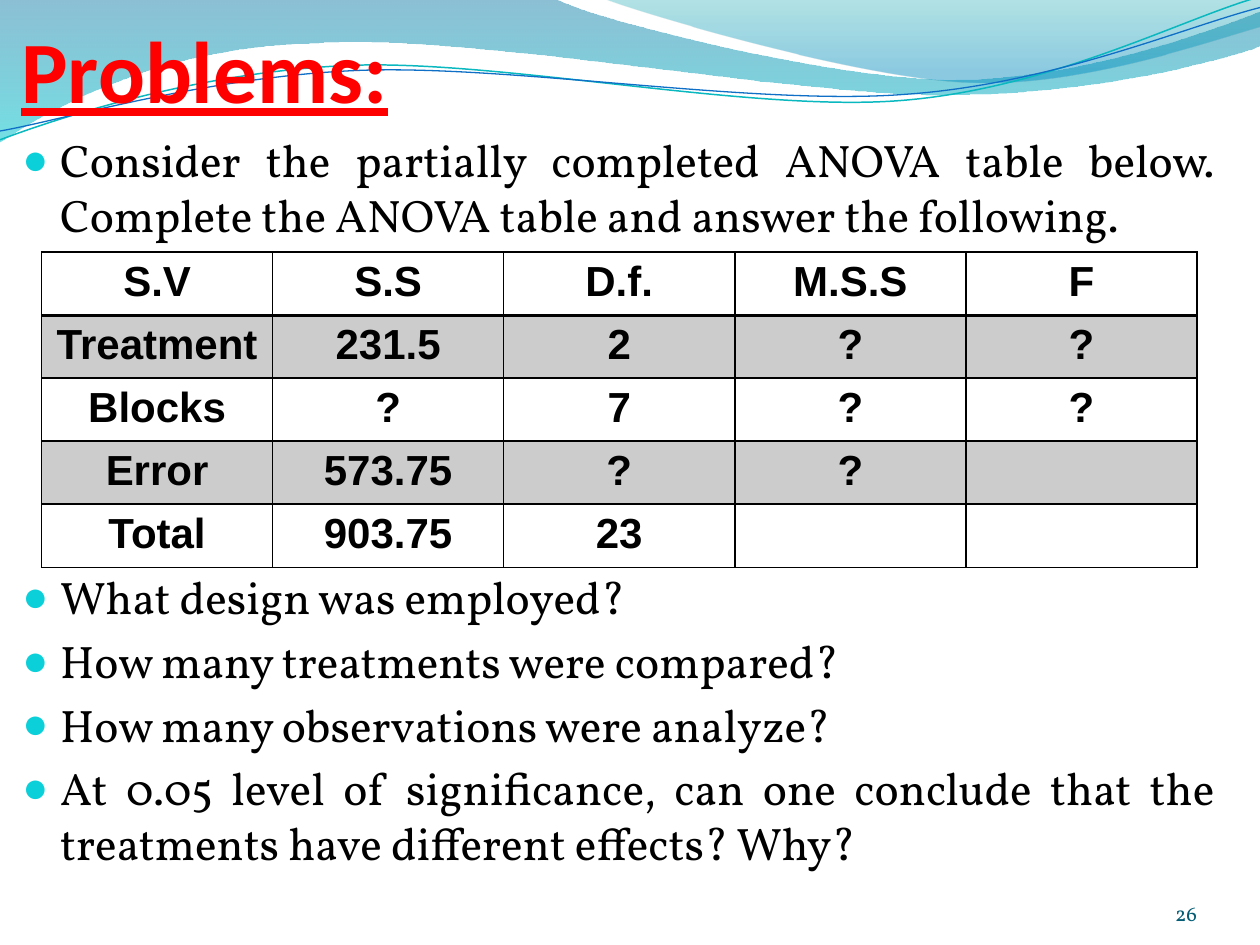
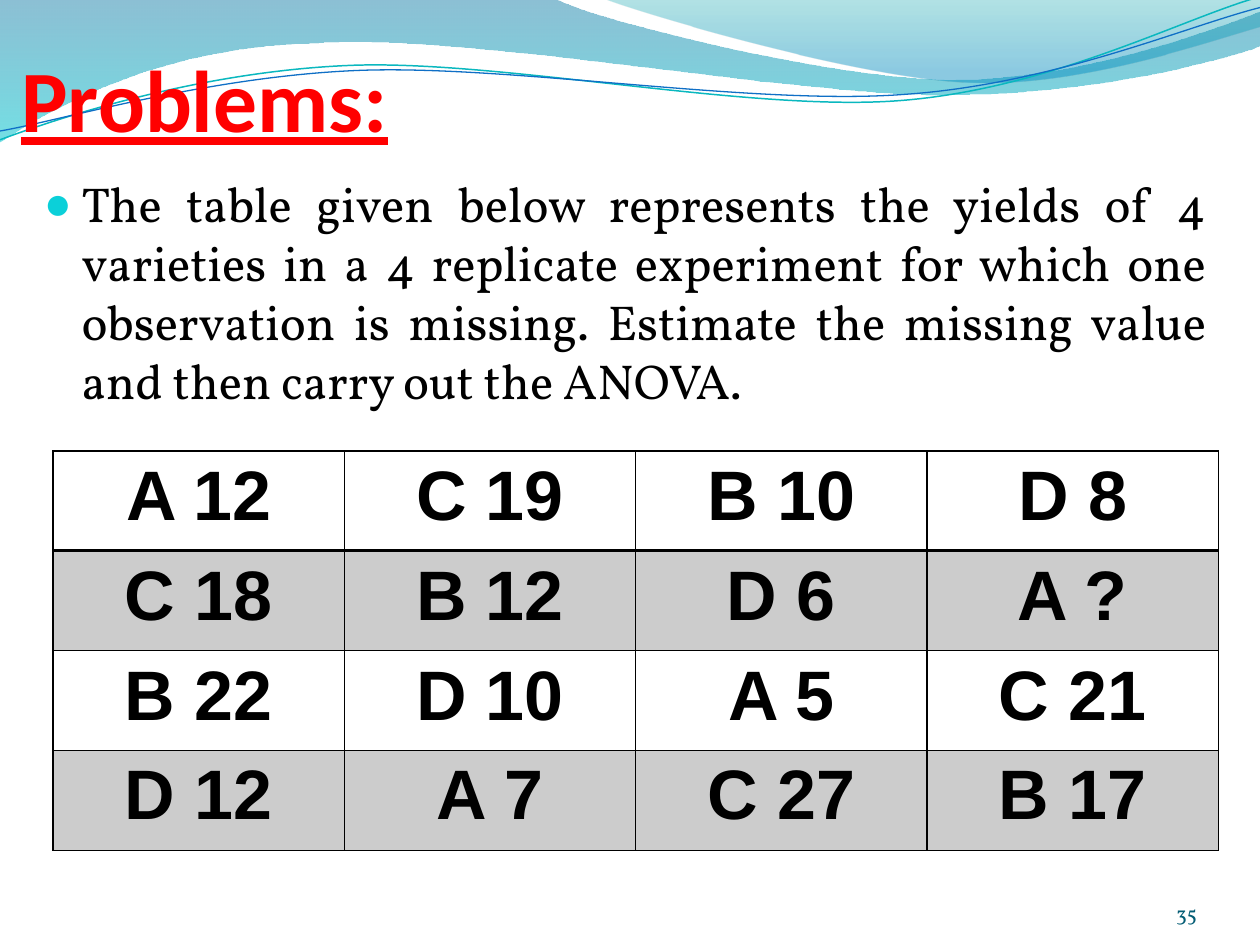
from lxml import etree
from pptx import Presentation
from pptx import util as u
from pptx.dml.color import RGBColor
from pptx.enum import text
from pptx.oxml.ns import qn

COLORS = {
    "title": "FF0000", "text": "000000", "bullet": "0BD0D9", "number": "045D75",
    "stripe": "CCCCCC", "border": "000000",
}
BODY_FONT = "Vollkorn"

WAVES = [
    {"start": (0, 0), "gradient": [(0, "0074A1", 45), (1, "00C6CF", 55)],
     "path_steps": [
         [(4.4, -0.01)],
         [(4.76, 0.17), (6.64, 0.63), (7.58, 0.63)],
         [(8.53, 0.63), (9.58, 0.26), (10, 0.09)],
         [(10.01, 0.36)],
         [(9.83, 0.44), (8.7, 0.76), (7.46, 0.75)],
         [(6.22, 0.75), (3.82, 0.28), (2.57, 0.34)],
         [(1.29, 0.36), (0.46, 0.83), (-0.01, 1.13)]]},
    {"start": (4.79, -0.01), "gradient": [(0, "00A1A9", 30), (0.8, "008BBF", 45)],
     "path_steps": [
         [(5.09, 0.11), (6.82, 0.62), (7.69, 0.65)],
         [(8.56, 0.69), (9.61, 0.32), (10, 0.21)],
         [(10, 0)]]},
    {"start": (0, 1.11), "line": ("0AB8BF", 0.85),
     "path_steps": [
         [(0.48, 0.93), (1.58, 0.57), (2.77, 0.52)],
         [(3.95, 0.47), (5.93, 0.89), (7.13, 0.8)],
         [(8.33, 0.71), (9.38, 0.15), (9.98, -0.02)]]},
    {"start": (0, 1.04), "line": ("0F6FC6", 0.75),
     "path_steps": [
         [(0.47, 0.96), (1.64, 0.61), (2.83, 0.56)],
         [(4.03, 0.51), (5.97, 0.84), (7.17, 0.75)],
         [(8.36, 0.67), (9.41, 0.21), (10, 0.06)]]},
]

SLIDES = [
    {"number": "26", "title_top": 0.02, "text_size": 26,
     "bullet_boxes": [
         ((0.08, 1, 9.67, 1), [
             "Consider the partially completed ANOVA table below. Complete the ANOVA "
             "table and answer the following."]),
         ((0.08, 4.47, 9.67, 2.5), [
             "What design was employed?",
             "How many treatments were compared?",
             "How many observations were analyze?",
             "At 0.05 level of significance, can one conclude that the treatments have "
             "different effects? Why?"])],
     "table_at": (0.33, 2, 9.17, 2.5), "table_size": 24,
     "rows": [
         ["S.V", "S.S", "D.f.", "M.S.S", "F"],
         ["Treatment", "231.5", "2", "?", "?"],
         ["Blocks", "?", "7", "?", "?"],
         ["Error", "573.75", "?", "?", ""],
         ["Total", "903.75", "23", "", ""]]},
    {"number": "35", "title_top": 0.25, "text_size": 28,
     "bullet_boxes": [
         ((0.25, 1.33, 9.42, 2.2), [
             "The table given below represents the yields of 4 varieties in a 4 replicate "
             "experiment for which one observation is missing. Estimate the missing value "
             "and then carry out the ANOVA."])],
     "table_at": (0.42, 3.58, 9.25, 3.17), "table_size": 40,
     "rows": [
         ["A 12", "C 19", "B 10", "D 8"],
         ["C 18", "B 12", "D 6", "A ?"],
         ["B 22", "D 10", "A 5", "C 21"],
         ["D 12", "A 7", "C 27", "B 17"]]},
]


def style(paragraph, font_name, size, color, alignment, bold=False):
    paragraph.alignment = alignment
    paragraph.font.name = font_name
    paragraph.font.size = u.Pt(size)
    paragraph.font.bold = bold
    paragraph.font.color.rgb = RGBColor.from_string(COLORS[color])


def add_xml(parent, tag, **attributes):
    element = etree.SubElement(parent, qn(tag))
    for name, value in attributes.items():
        element.set(name, str(value))
    return element


presentation = Presentation()
presentation.slide_width = u.Inches(10)
presentation.slide_height = u.Inches(7.5)
layout = presentation.slide_layouts[5]
slides = [presentation.slides.add_slide(layout) for content in SLIDES]

for index, wave in enumerate(WAVES):
    points = [(u.Inches(x), u.Inches(y)) for path_step in wave["path_steps"]
              for x, y in path_step]
    builder = slides[0].shapes.build_freeform(*map(u.Inches, wave["start"]))
    builder.add_line_segments(points, close="gradient" in wave)
    shape = builder.convert_to_shape()
    shape.name = f"Wave {index + 1}"
    shape.shadow.inherit = False

    segments = iter(list(shape._element.spPr.iter(qn("a:lnTo"))))
    for path_step in wave["path_steps"]:
        step_segments = [next(segments) for point in path_step]
        if len(step_segments) == 3:
            curve = etree.Element(qn("a:cubicBezTo"))
            step_segments[0].addprevious(curve)
            for segment in step_segments:
                curve.append(segment[0])
                segment.getparent().remove(segment)

    if "gradient" in wave:
        shape.line.fill.background()
        shape.fill.gradient()
        shape.fill.gradient_angle = 270
        for stop, (position, color, _) in zip(shape.fill.gradient_stops, wave["gradient"]):
            stop.position = position
            stop.color.rgb = RGBColor.from_string(color)
        stop_colors = list(shape._element.spPr.iter(qn("a:srgbClr")))
        for stop_color, (_, _, opacity) in zip(stop_colors, wave["gradient"]):
            add_xml(stop_color, "a:alpha", val=opacity * 1000)
    else:
        color, width = wave["line"]
        shape.fill.background()
        shape.line.color.rgb = RGBColor.from_string(color)
        shape.line.width = u.Pt(width)
    shape._element.nvSpPr.cNvPr.set("id", str(20 + index))
    layout.shapes._spTree.insert(2 + index, shape._element)

for slide, content in zip(slides, SLIDES):
    title = slide.shapes.title
    title.left, title.top = u.Inches(0.17), u.Inches(content["title_top"])
    title.width, title.height = u.Inches(9), u.Inches(0.94)
    frame = title.text_frame
    frame.text = "Problems:"
    frame.word_wrap = True
    frame.auto_size = text.MSO_AUTO_SIZE.NONE
    frame.vertical_anchor = text.MSO_ANCHOR.BOTTOM
    frame.margin_left = frame.margin_right = frame.margin_bottom = 0
    frame.margin_top = u.Inches(0.05)
    style(frame.paragraphs[0], "Calibri", 50, "title", text.PP_ALIGN.LEFT, bold=True)
    frame.paragraphs[0].font.underline = True

    for box_at, bullets in content["bullet_boxes"]:
        frame = slide.shapes.add_textbox(*map(u.Inches, box_at)).text_frame
        frame.word_wrap = True
        frame.text = "\n".join(bullets)
        for paragraph in frame.paragraphs:
            properties = paragraph._p.get_or_add_pPr()
            properties.set("marL", str(u.Inches(0.3)))
            properties.set("indent", str(u.Inches(-0.3)))
            add_xml(add_xml(properties, "a:buClr"), "a:srgbClr", val=COLORS["bullet"])
            add_xml(properties, "a:buSzPct", val=95000)
            add_xml(properties, "a:buFont", typeface="Arial")
            add_xml(properties, "a:buChar", char="●")
            style(paragraph, BODY_FONT, content["text_size"], "text", text.PP_ALIGN.JUSTIFY)
            paragraph.space_before = u.Pt(content["text_size"] * 0.2)

    rows = content["rows"]
    table = slide.shapes.add_table(
        len(rows), len(rows[0]), *map(u.Inches, content["table_at"])).table
    table.first_row = table.horz_banding = False
    for row_index, row in enumerate(rows):
        for column_index, value in enumerate(row):
            cell = table.cell(row_index, column_index)
            cell.text = value
            style(cell.text_frame.paragraphs[0], "Arial", content["table_size"], "text",
                  text.PP_ALIGN.CENTER, bold=True)
            properties = cell._tc.get_or_add_tcPr()
            for side in ("L", "R", "T", "B"):
                under_header = (row_index, side) in ((0, "B"), (1, "T"))
                border = add_xml(properties, f"a:ln{side}", w=u.Pt(2 if under_header else 1))
                add_xml(add_xml(border, "a:solidFill"), "a:srgbClr", val=COLORS["border"])
            if row_index % 2:
                cell.fill.solid()
                cell.fill.fore_color.rgb = RGBColor.from_string(COLORS["stripe"])
            else:
                cell.fill.background()

    number_box = slide.shapes.add_textbox(*map(u.Inches, (8.67, 6.95, 0.83, 0.4)))
    frame = number_box.text_frame
    frame.text = content["number"]
    frame.word_wrap = True
    frame.vertical_anchor = text.MSO_ANCHOR.BOTTOM
    frame.margin_left = frame.margin_right = frame.margin_top = frame.margin_bottom = 0
    style(frame.paragraphs[0], BODY_FONT, 12, "number", text.PP_ALIGN.RIGHT)

presentation.save("out.pptx")
